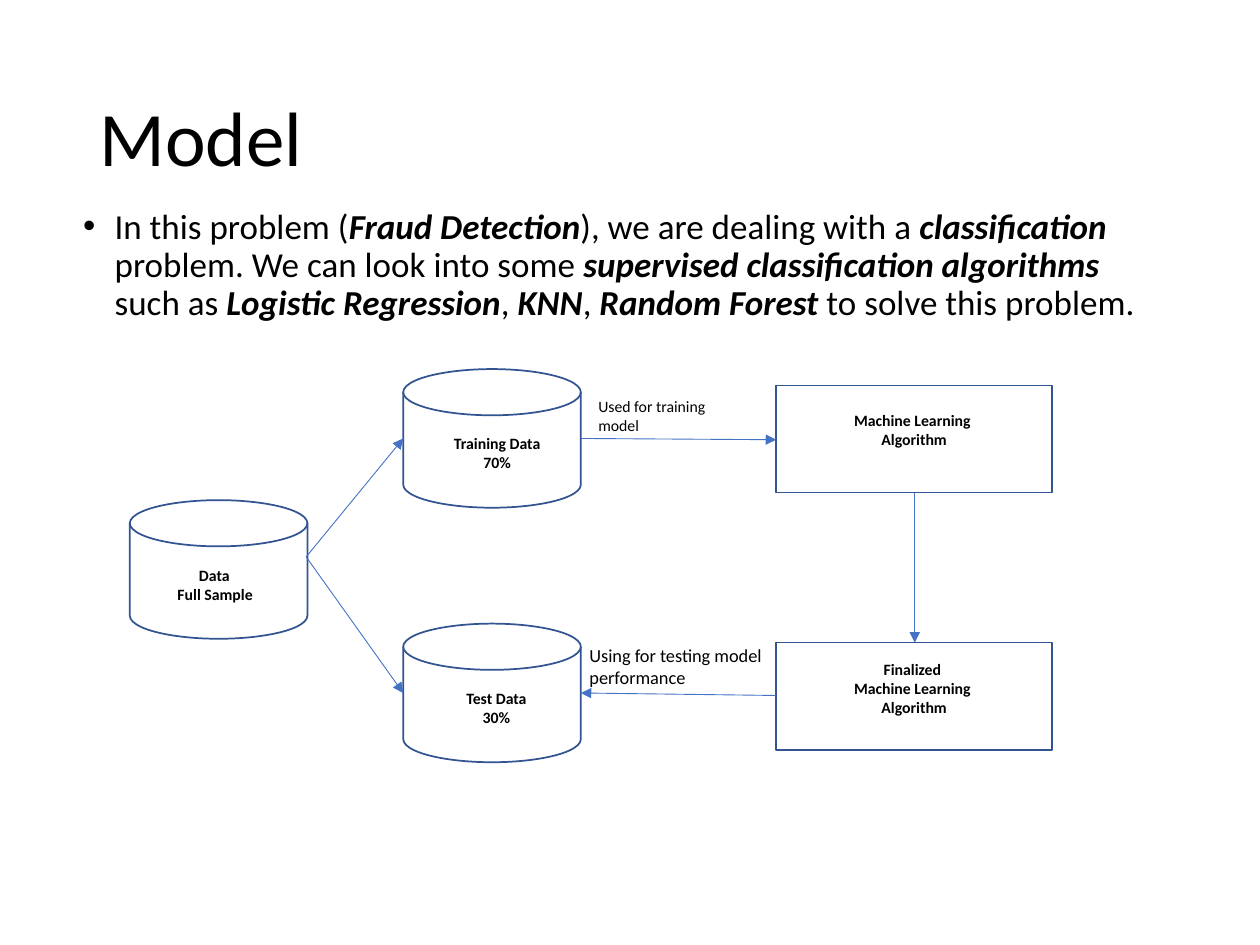
import pptx
import pptx.util
import pptx.dml.color
import pptx.enum.shapes
import pptx.enum.text
import pptx.oxml.ns
import pptx.oxml.xmlchemy
from dataclasses import dataclass

Inches = pptx.util.Inches
Pt = pptx.util.Pt
Kind = pptx.enum.shapes.MSO_SHAPE
Align = pptx.enum.text.PP_ALIGN
Anchor = pptx.enum.text.MSO_ANCHOR
Fit = pptx.enum.text.MSO_AUTO_SIZE
Element = pptx.oxml.xmlchemy.OxmlElement


@dataclass(frozen=True)
class Theme:
    font: str = "Calibri"
    ink: str = "000000"
    edge: str = "325491"
    arrow: str = "4472C4"
    title: float = 44
    body: float = 20
    note: float = 10.5
    label: float = 9


theme = Theme()


def color(code):
    return pptx.dml.color.RGBColor.from_string(code)


def place(shape, left, top, width, height):
    shape.left, shape.top = Inches(left), Inches(top)
    shape.width, shape.height = Inches(width), Inches(height)


def add_run(para, text, size, bold=False, slant=False):
    run = para.add_run()
    run.text = text
    font = run.font
    font.name, font.size = theme.font, Pt(size)
    font.bold, font.italic = bold, slant
    font.color.rgb = color(theme.ink)


def add_title(slide, text):
    title = slide.shapes.title
    place(title, 0.69, 0.4, 8.62, 1.45)
    frame = title.text_frame
    frame.auto_size = Fit.NONE
    frame.vertical_anchor = Anchor.MIDDLE
    para = frame.paragraphs[0]
    para.alignment = Align.LEFT
    para.line_spacing = 0.9
    add_run(para, text, theme.title)


def add_body(slide, parts):
    body = slide.placeholders[1]
    place(body, 0.56, 1.61, 8.62, 1.07)
    frame = body.text_frame
    frame.auto_size = Fit.NONE
    para = frame.paragraphs[0]
    para.line_spacing = 0.9
    para.space_before = Pt(10)
    props = para._p.get_or_add_pPr()
    props.set("marL", str(Inches(0.25)))
    props.set("indent", str(Inches(-0.25)))
    for text, strong in parts:
        add_run(para, text, theme.body, strong, strong)


def add_node(slide, kind, left, top, width, height):
    node = slide.shapes.add_shape(
        kind, Inches(left), Inches(top), Inches(width), Inches(height))
    node.shadow.inherit = False
    node.fill.background()
    node.line.color.rgb = color(theme.edge)
    node.line.width = Pt(1)


def add_text(slide, spot, lines, size, bold=False, wrap=False):
    box = slide.shapes.add_textbox(*(Inches(n) for n in spot))
    frame = box.text_frame
    frame.word_wrap = wrap
    frame.auto_size = Fit.SHAPE_TO_FIT_TEXT
    for i, (text, align) in enumerate(lines):
        para = frame.add_paragraph() if i else frame.paragraphs[0]
        para.alignment = align
        add_run(para, text, size, bold)


def add_arrow(slide, start, end):
    ends = (Inches(n) for n in start + end)
    arrow = slide.shapes.add_connector(
        pptx.enum.shapes.MSO_CONNECTOR.STRAIGHT, *ends)
    arrow.line.color.rgb = color(theme.arrow)
    arrow.line.width = Pt(0.5)
    props = arrow._element.find(pptx.oxml.ns.qn("p:spPr"))
    tail = Element("a:tailEnd")
    tail.set("type", "triangle")
    props.find(pptx.oxml.ns.qn("a:ln")).append(tail)
    props.append(Element("a:effectLst"))


def main():
    deck = pptx.Presentation()
    deck.slide_width, deck.slide_height = Inches(10), Inches(7.5)
    slide = deck.slides.add_slide(deck.slide_layouts[1])

    add_title(slide, "Model")
    add_body(slide, [
        ("In this problem (", False),
        ("Fraud Detection", True),
        ("), we are dealing with a ", False),
        ("classification", True),
        (" problem. We can look into some ", False),
        ("supervised classification algorithms ", True),
        ("such as ", False),
        ("Logistic Regression", True),
        (", ", False),
        ("KNN", True),
        (", ", False),
        ("Random Forest ", True),
        ("to solve this problem.", False),
    ])

    for left, top in [(1.03, 3.97), (3.2, 2.93), (3.2, 4.95)]:
        add_node(slide, Kind.FLOWCHART_MAGNETIC_DISK, left, top, 1.41, 1.1)
    for top in (3.06, 5.1):
        add_node(slide, Kind.RECTANGLE, 6.16, top, 2.19, 0.85)

    mid, left = Align.CENTER, Align.LEFT
    model = [("Machine Learning ", mid), ("Algorithm", mid)]
    labels = [
        ((1.31, 4.44, 0.81, 0.4), [("Data ", mid), ("Full Sample", left)]),
        ((3.49, 3.39, 0.91, 0.4), [("Training Data", mid), ("70%", mid)]),
        ((3.59, 5.42, 0.7, 0.4), [("Test Data", mid), ("30%", mid)]),
        ((6.67, 3.21, 1.17, 0.4), model),
        ((6.67, 5.19, 1.17, 0.56), [("Finalized ", mid)] + model),
    ]
    for spot, lines in labels:
        add_text(slide, spot, lines, theme.label, bold=True)

    notes = [
        ((4.65, 3.1, 1.22, 0.4), "Used for training model", theme.label),
        ((4.58, 5.06, 1.58, 0.45), "Using for testing model performance",
         theme.note),
    ]
    for spot, text, size in notes:
        add_text(slide, spot, [(text, left)], size, wrap=True)

    full = (2.43, 4.42)
    for start, end in [
        (full, (3.2, 3.48)),
        (full, (3.2, 5.5)),
        ((4.61, 3.48), (6.16, 3.49)),
        ((6.16, 5.52), (4.61, 5.5)),
        ((7.26, 3.91), (7.26, 5.1)),
    ]:
        add_arrow(slide, start, end)

    deck.save("out.pptx")


if __name__ == "__main__":
    main()
